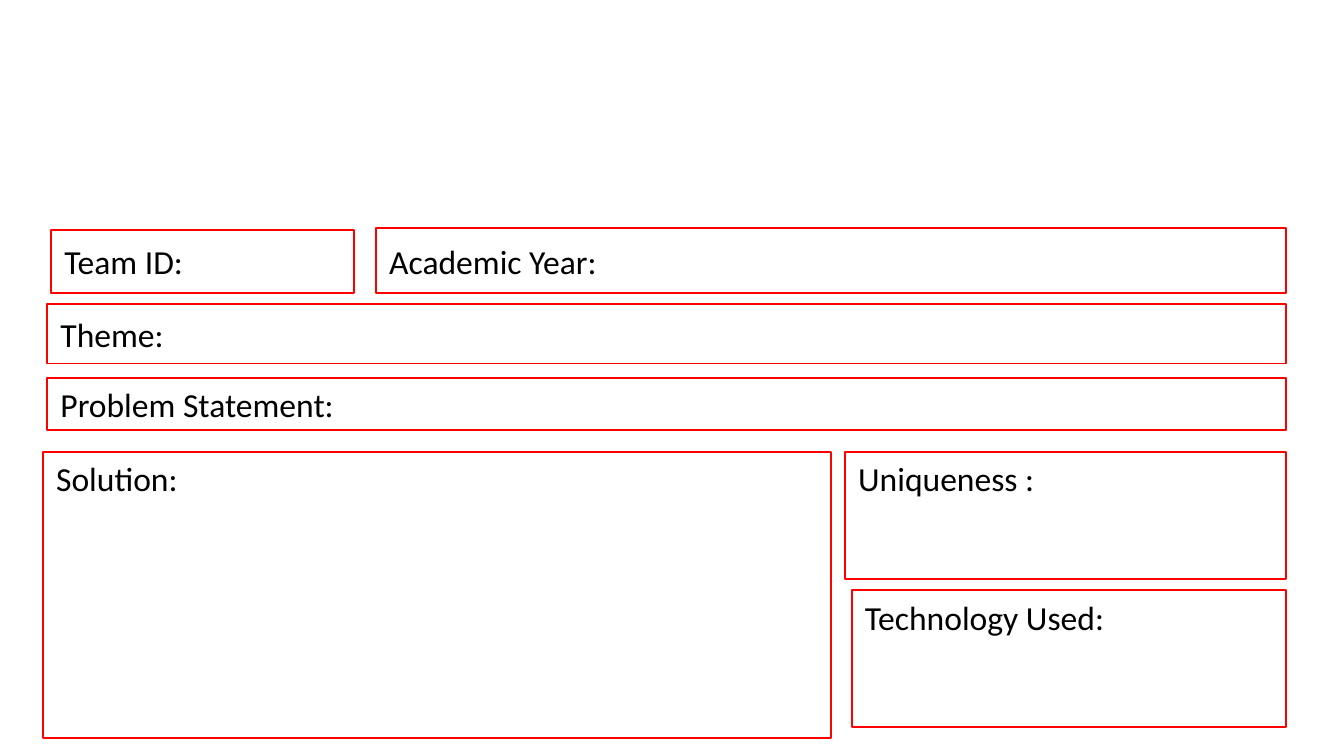
from dataclasses import dataclass

from pptx import Presentation
from pptx.dml.color import RGBColor
from pptx.enum.shapes import MSO_SHAPE
from pptx.enum.text import MSO_ANCHOR, PP_ALIGN
from pptx.util import Pt

RECTANGLE = MSO_SHAPE.RECTANGLE
TOP, MIDDLE = MSO_ANCHOR.TOP, MSO_ANCHOR.MIDDLE
LEFT = PP_ALIGN.LEFT
BLANK_LAYOUT = 6


@dataclass(frozen=True)
class Theme:
    paper: RGBColor = RGBColor(0xFF, 0xFF, 0xFF)
    border: RGBColor = RGBColor(0xFF, 0x00, 0x00)
    ink: RGBColor = RGBColor(0x00, 0x00, 0x00)
    font: str = "Calibri"
    label_size: float = 18
    border_width: float = 1


theme = Theme()

prs = Presentation()
prs.slide_width, prs.slide_height = Pt(720), Pt(405)
slide = prs.slides.add_slide(prs.slide_layouts[BLANK_LAYOUT])

# Form fields: label, left, top, right, height, anchor (points)
RIGHT_EDGE = 689
fields = [
    ("Team ID:", 27.4, 123.2, 189.6, 33.8, MIDDLE),
    ("Theme:", 25.3, 162.8, RIGHT_EDGE, 32, MIDDLE),
    ("Problem Statement:", 25.3, 202.4, RIGHT_EDGE, 28, MIDDLE),
    ("Academic Year:", 201.4, 122.1, RIGHT_EDGE, 35, MIDDLE),
    ("Solution:", 23, 242, 445, 153.4, TOP),
    ("Uniqueness :", 452.7, 242, RIGHT_EDGE, 68, TOP),
    ("Technology Used:", 456.2, 316, RIGHT_EDGE, 73.4, TOP),
]

for label, left, top, right, height, anchor in fields:
    # Outlined box
    field = slide.shapes.add_shape(
        RECTANGLE, Pt(left), Pt(top), Pt(right - left), Pt(height)
    )
    field.shadow.inherit = False
    field.fill.solid()
    field.fill.fore_color.rgb = theme.paper
    field.line.color.rgb = theme.border
    field.line.width = Pt(theme.border_width)

    # Label
    frame = field.text_frame
    frame.word_wrap = True
    frame.vertical_anchor = anchor
    frame.text = label
    paragraph = frame.paragraphs[0]
    paragraph.alignment = LEFT
    paragraph.font.name = theme.font
    paragraph.font.size = Pt(theme.label_size)
    paragraph.font.color.rgb = theme.ink

prs.save("out.pptx")
